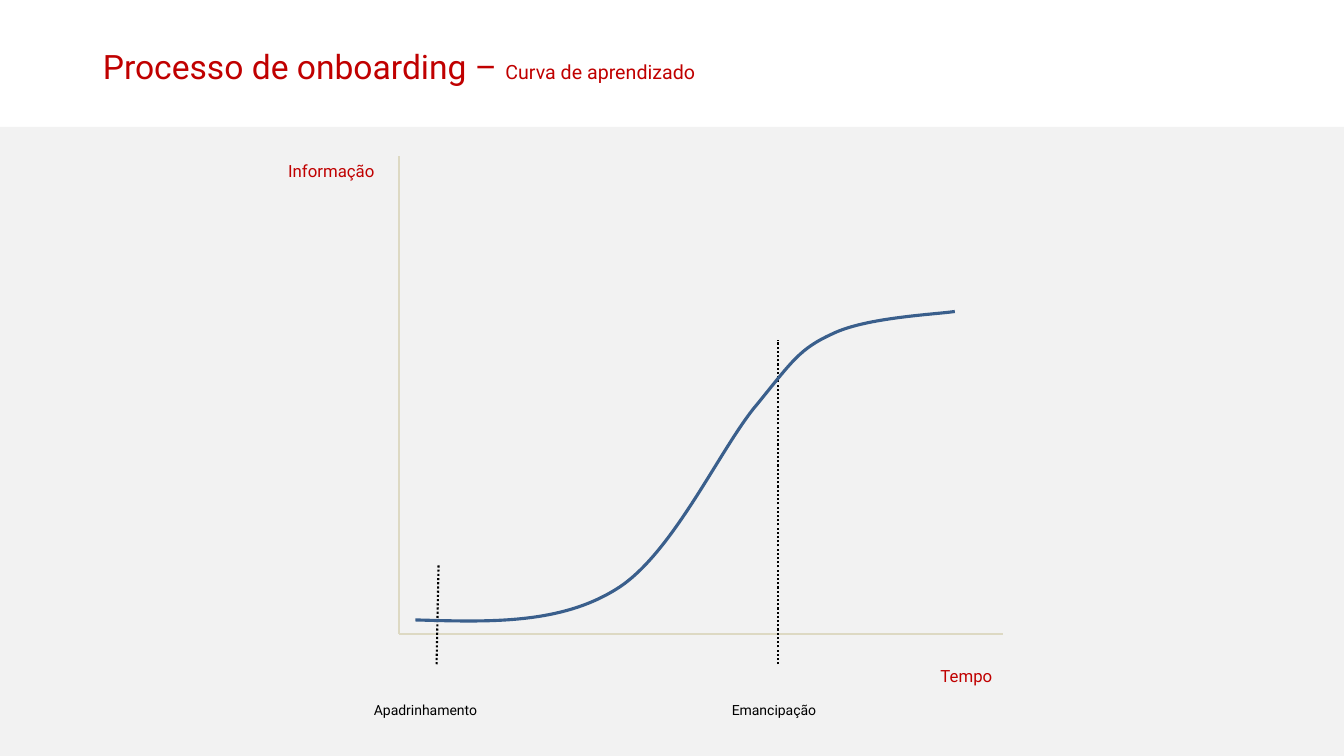
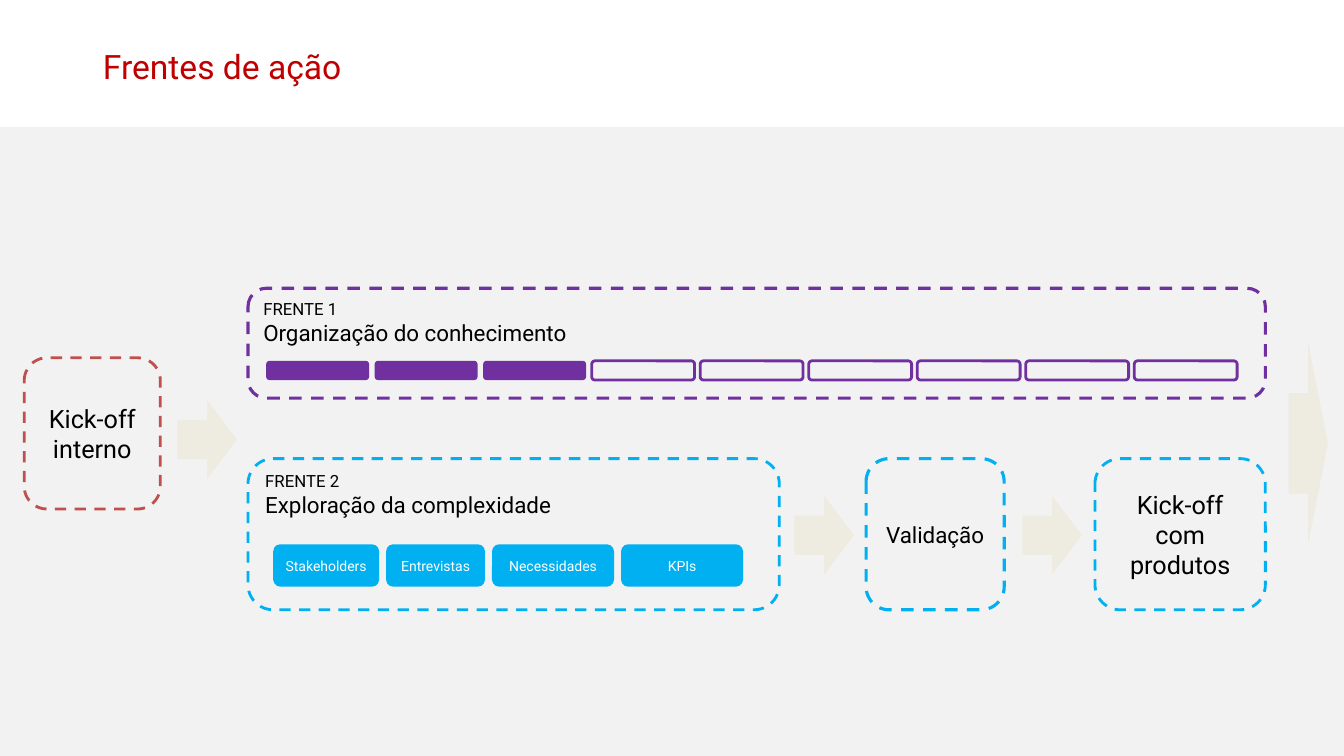
from lxml.etree import SubElement
from pptx import Presentation
from pptx.dml.color import RGBColor
from pptx.enum.dml import MSO_LINE as DASH
from pptx.enum.shapes import MSO_CONNECTOR, MSO_SHAPE as SHAPE
from pptx.enum.text import MSO_ANCHOR as ANCHOR, PP_ALIGN as ALIGN
from pptx.oxml.ns import qn
from pptx.util import Inches, Pt

RED = RGBColor(0xC0, 0x00, 0x00)
BRICK = RGBColor(0xC0, 0x50, 0x4D)
PURPLE = RGBColor(0x70, 0x30, 0xA0)
CYAN = RGBColor(0x00, 0xB0, 0xF0)
NAVY = RGBColor(0x3A, 0x5F, 0x8C)
SAND = RGBColor(0xDD, 0xD9, 0xC3)
CREAM = RGBColor(0xEE, 0xEC, 0xE1)
GRAY = RGBColor(0xF2, 0xF2, 0xF2)
BLACK = RGBColor(0x00, 0x00, 0x00)
WHITE = RGBColor(0xFF, 0xFF, 0xFF)
FONT = "Roboto"


def write(p, text, size=12, color=BLACK, align=ALIGN.LEFT):
    p.alignment = align
    r = p.add_run()
    r.text = text
    r.font.name = FONT
    r.font.size = Pt(size)
    r.font.color.rgb = color


def add_box(s, kind, x, y, w, h, fill=None, line=None, width=2, dash=None):
    sp = s.shapes.add_shape(kind, Inches(x), Inches(y), Inches(w), Inches(h))
    sp.shadow.inherit = False
    if fill is None:
        sp.fill.background()
    else:
        sp.fill.solid()
        sp.fill.fore_color.rgb = fill
    if line is None:
        sp.line.fill.background()
    else:
        sp.line.color.rgb = line
        sp.line.width = Pt(width)
        if dash is not None:
            sp.line.dash_style = dash
    return sp


prs = Presentation()
prs.slide_width = Inches(13.33)
prs.slide_height = Inches(7.5)
layout = prs.slide_layouts[5]
for ph in list(layout.placeholders):
    if ph.placeholder_format.idx != 0:
        ph.element.getparent().remove(ph.element)

titles = [
    [("Processo de onboarding – ", 24), ("Curva de aprendizado", 14)],
    [("Frentes de ação", 24)],
]
for runs in titles:
    s = prs.slides.add_slide(layout)
    title = s.shapes.title
    title.left, title.top = Inches(0.92), Inches(0.4)
    title.width, title.height = Inches(11.5), Inches(0.51)
    title.text_frame.vertical_anchor = ANCHOR.MIDDLE
    for text, size in runs:
        write(title.text_frame.paragraphs[0], text, size, RED)

curve_slide, fronts_slide = prs.slides

band = add_box(curve_slide, SHAPE.RECTANGLE, 0, 1.26, 13.33, 6.24, fill=GRAY)
layout.placeholders[0].element.getparent().insert(2, band.element)

s = curve_slide
lines = [
    (3.96, 1.55, 3.96, 6.29, SAND, DASH.SOLID),
    (3.96, 6.29, 9.95, 6.29, SAND, DASH.SOLID),
    (4.33, 6.59, 4.35, 5.61, BLACK, DASH.ROUND_DOT),
    (7.72, 6.59, 7.72, 3.37, BLACK, DASH.ROUND_DOT),
]
for x1, y1, x2, y2, color, dash in lines:
    c = s.shapes.add_connector(
        MSO_CONNECTOR.STRAIGHT, Inches(x1), Inches(y1), Inches(x2), Inches(y2))
    c.line.color.rgb = color
    c.line.width = Pt(1.5)
    c.line.dash_style = dash
    SubElement(c.element.spPr, qn("a:effectLst"))

labels = [
    ("Informação", 2.76, 1.55, 1.13, 0.3, 12, RED),
    ("Tempo", 9.23, 6.56, 0.74, 0.3, 12, RED),
    ("Apadrinhamento", 3.61, 6.91, 1.36, 0.27, 10, BLACK),
    ("Emancipação", 7.16, 6.91, 1.13, 0.27, 10, BLACK),
]
for text, x, y, w, h, size, color in labels:
    tf = s.shapes.add_textbox(Inches(x), Inches(y), Inches(w), Inches(h)).text_frame
    tf.word_wrap = True
    write(tf.paragraphs[0], text, size, color)

curve_points = [
    (4.12, 6.15),
    (4.83, 6.17), (5.55, 6.2), (6.12, 5.84),
    (6.68, 5.49), (7.15, 4.43), (7.51, 4.01),
    (7.86, 3.58), (7.93, 3.46), (8.26, 3.31),
    (8.59, 3.15), (9.26, 3.12), (9.47, 3.09),
]
points = [(Inches(x), Inches(y)) for x, y in curve_points]
builder = s.shapes.build_freeform(*points[0])
builder.add_line_segments(points[1:], close=False)
curve = builder.convert_to_shape()
curve.shadow.inherit = False
curve.fill.background()
curve.line.color.rgb = NAVY
curve.line.width = Pt(2.25)
outline = next(curve.element.iter(qn("a:pathLst")))[0]
segments = outline.findall(qn("a:lnTo"))
for i in range(0, len(segments), 3):
    bezier = SubElement(outline, qn("a:cubicBezTo"))
    for segment in segments[i:i + 3]:
        bezier.append(segment[0])
        outline.remove(segment)

s = fronts_slide
arrows = [
    (1.76, 3.97, 0.59, 0.78),
    (7.88, 4.92, 0.59, 0.78),
    (10.14, 4.92, 0.59, 0.78),
    (12.78, 3.4, 0.39, 2),
]
for x, y, w, h in arrows:
    add_box(s, SHAPE.RIGHT_ARROW, x, y, w, h, fill=CREAM)

fronts = [
    ("FRENTE 1", "Organização do conhecimento", 2.86, 10.09, 1.09, PURPLE, 2.25),
    ("FRENTE 2", "Exploração da complexidade", 4.55, 5.27, 1.5, CYAN, 2),
]
for name, topic, y, w, h, color, width in fronts:
    sp = add_box(s, SHAPE.ROUNDED_RECTANGLE, 2.46, y, w, h,
                 line=color, width=width, dash=DASH.DASH)
    tf = sp.text_frame
    tf.vertical_anchor = ANCHOR.TOP
    write(tf.paragraphs[0], name, 12)
    write(tf.add_paragraph(), topic, 16)

steps = [
    ("Kick-off interno", 0.24, 3.55, 1.35, 18, BRICK, 2),
    ("Validação", 8.59, 4.55, 1.37, 16, CYAN, 2.25),
    ("Kick-off com produtos", 10.86, 4.55, 1.69, 18, CYAN, 2),
]
for text, x, y, w, size, color, width in steps:
    sp = add_box(s, SHAPE.ROUNDED_RECTANGLE, x, y, w, 1.5,
                 line=color, width=width, dash=DASH.DASH)
    write(sp.text_frame.paragraphs[0], text, size, align=ALIGN.CENTER)

count, done = 9, 3
pitch = (11.25 - 2.64) / (count - 1)
for i in range(count):
    style = {"fill": PURPLE} if i < done else {"line": PURPLE}
    add_box(s, SHAPE.ROUNDED_RECTANGLE, 2.64 + i * pitch, 3.58, 1.02, 0.19, **style)

x = 2.71
for text, w in [("Stakeholders", 1.05), ("Entrevistas", 0.98),
                ("Necessidades", 1.21), ("KPIs", 1.21)]:
    sp = add_box(s, SHAPE.ROUNDED_RECTANGLE, x, 5.4, w, 0.42, fill=CYAN)
    write(sp.text_frame.paragraphs[0], text, 10, WHITE, ALIGN.CENTER)
    x += w + 0.07

prs.save("out.pptx")
